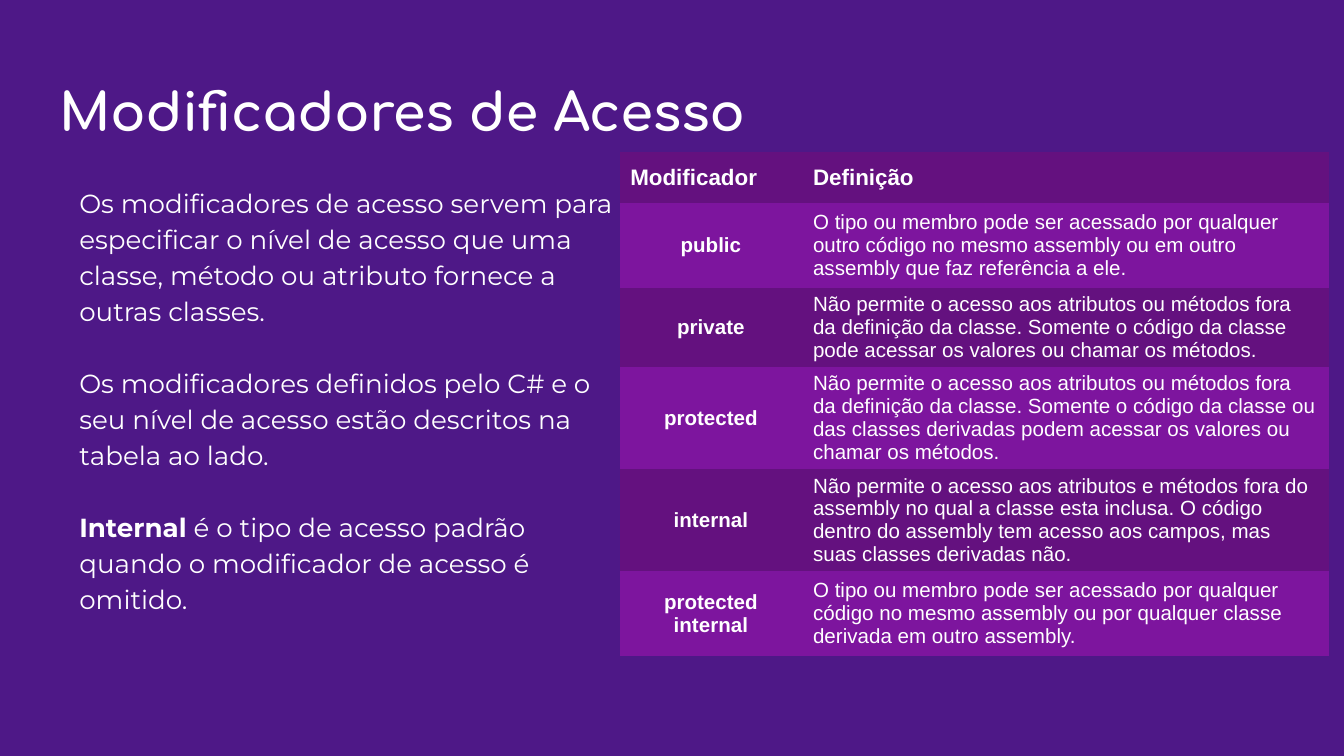
from lxml import etree
from pptx import Presentation, util as u
from pptx.dml.color import RGBColor
from pptx.enum import text
from pptx.oxml import ns

WHITE, BACKGROUND = "FFFFFF", "4E1887"
ROW_FILLS = ["64117F", "7D159E"]
WIDTH = u.Inches(10)
HEIGHT = WIDTH * 9 // 16


def paint(color_format, hex_color):
    color_format.rgb = RGBColor.from_string(hex_color)


def write(paragraph, words, **font_format):
    run = paragraph.add_run()
    run.text = words
    for name, value in font_format.items():
        setattr(run.font, name, value)
    paint(run.font.color, WHITE)


presentation = Presentation()
presentation.slide_width, presentation.slide_height = WIDTH, HEIGHT
slide = presentation.slides.add_slide(presentation.slide_layouts[1])
slide.background.fill.solid()
paint(slide.background.fill.fore_color, BACKGROUND)

# Title and body placeholders, placed by shares of the slide
title, body = slide.placeholders
places = [(title, 0.087, 0.932, 0.112), (body, 0.224, 0.437, 0.715)]
for shape, top, width, height in places:
    box = {"left": 0.034 * WIDTH, "top": top * HEIGHT,
           "width": width * WIDTH, "height": height * HEIGHT}
    for name, value in box.items():
        setattr(shape, name, int(value))
    frame_format = {"vertical_anchor": text.MSO_ANCHOR.TOP,
                    "auto_size": text.MSO_AUTO_SIZE.NONE, "word_wrap": True}
    for side in ("left", "top", "right", "bottom"):
        frame_format["margin_" + side] = u.Inches(0.1)
    for name, value in frame_format.items():
        setattr(shape.text_frame, name, value)

heading = title.text_frame.paragraphs[0]
heading.alignment = text.PP_ALIGN.LEFT
write(heading, "Modificadores de Acesso", name="Comfortaa", size=u.Pt(28), bold=True)

# Explanation: each paragraph is a list of (words, bold)
explanation = [
    [("Os modificadores de acesso servem para especificar o nível de acesso que uma "
      "classe, método ou atributo fornece a outras classes.", False)],
    [("Os modificadores definidos pelo C# e o seu nível de acesso estão descritos na "
      "tabela ao lado.", False)],
    [("Internal", True),
     (" é o tipo de acesso padrão quando o modificador de acesso é omitido.", False)],
]
paragraph_format = {"alignment": text.PP_ALIGN.LEFT, "line_spacing": 1.15,
                    "space_before": u.Pt(0), "space_after": u.Pt(19.3)}
for index, parts in enumerate(explanation):
    frame = body.text_frame
    paragraph = frame.add_paragraph() if index else frame.paragraphs[0]
    for name, value in paragraph_format.items():
        setattr(paragraph, name, value)
    properties = paragraph._p.get_or_add_pPr()
    properties.set("marL", str(u.Inches(0.15)))
    properties.set("indent", "0")
    etree.SubElement(properties, ns.qn("a:buNone"))
    for words, bold in parts:
        write(paragraph, words, name="Montserrat", size=u.Pt(14), bold=bold)

# Table of modifiers
rows = [
    ("Modificador", "Definição"),
    ("public", "O tipo ou membro pode ser acessado por qualquer outro código no mesmo "
     "assembly ou em outro assembly que faz referência a ele."),
    ("private", "Não permite o acesso aos atributos ou métodos fora da definição da "
     "classe. Somente o código da classe pode acessar os valores ou chamar os métodos."),
    ("protected", "Não permite o acesso aos atributos ou métodos fora da definição da "
     "classe. Somente o código da classe ou das classes derivadas podem acessar os "
     "valores ou chamar os métodos."),
    ("internal", "Não permite o acesso aos atributos e métodos fora do assembly no qual "
     "a classe esta inclusa. O código dentro do assembly tem acesso aos campos, mas "
     "suas classes derivadas não."),
    ("protected internal", "O tipo ou membro pode ser acessado por qualquer código no "
     "mesmo assembly ou por qualquer classe derivada em outro assembly."),
]
column_widths = [1.36, 3.92]
row_heights = [0.38, 0.63, 0.45, 0.63, 0.63, 0.63]
table = slide.shapes.add_table(
    len(rows), len(column_widths), int(0.461 * WIDTH), int(0.201 * HEIGHT),
    u.Inches(sum(column_widths)), u.Inches(sum(row_heights))).table
# Drop the style's borders ("No Style, No Grid")
table._tbl.tblPr.find(ns.qn("a:tableStyleId")).text = "{2D5ABB26-0587-4C30-8999-92F81FD0307C}"
for column, width in zip(table.columns, column_widths):
    column.width = u.Inches(width)

cell_format = {"vertical_anchor": text.MSO_ANCHOR.MIDDLE,
               "margin_left": u.Inches(0.08), "margin_right": u.Inches(0.08),
               "margin_top": u.Inches(0.04), "margin_bottom": u.Inches(0.04)}
for row_index, row in enumerate(rows):
    table.rows[row_index].height = u.Inches(row_heights[row_index])
    is_header = row_index == 0
    for column_index, words in enumerate(row):
        is_name = column_index == 0
        cell = table.cell(row_index, column_index)
        for name, value in cell_format.items():
            setattr(cell, name, value)
        cell.fill.solid()
        paint(cell.fill.fore_color, ROW_FILLS[row_index % 2])
        paragraph = cell.text_frame.paragraphs[0]
        if is_name and not is_header:
            paragraph.alignment = text.PP_ALIGN.CENTER
        write(paragraph, words, name="Arial", size=u.Pt(12 if is_header else 11),
              bold=is_header or is_name)

presentation.save("out.pptx")
